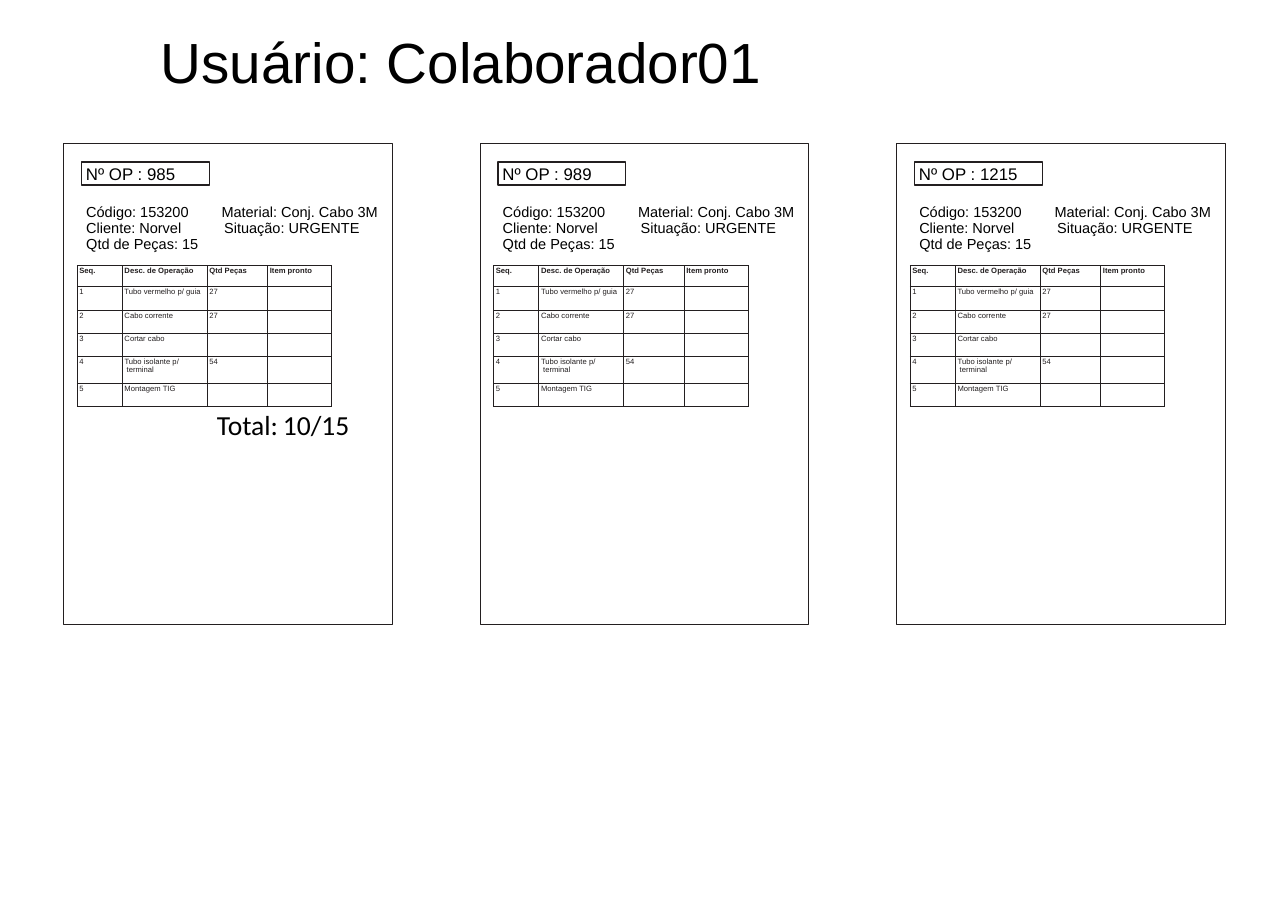
import pptx
import pptx.dml.color
import pptx.enum.shapes
import pptx.enum.text
import pptx.oxml.ns
import pptx.util
from lxml import etree

Pt = pptx.util.Pt
INK, BLACK = "231F20", "000000"
CARD_LEFT, CARD_PITCH = 4.96, 32.34
ORDERS = ["985", "989", "1215"]
COLUMNS = [3.51, 6.59, 4.7, 4.96]
ROWS = [2.36, 2.54, 2.54, 2.54, 2.95, 2.54]
OPERATIONS = [
    ["Seq.", "Desc. de Operação", "Qtd Peças", "Item pronto"],
    ["1", "Tubo vermelho p/ guia", "27", ""],
    ["2", "Cabo corrente", "27", ""],
    ["3", "Cortar cabo", "", ""],
    ["4", "Tubo isolante p/\nterminal", "54", ""],
    ["5", "Montagem TIG", "", ""],
]


def rgb(color):
    return pptx.dml.color.RGBColor.from_string(color)


class Board:
    """Draws on one slide; positions and sizes are percent of the slide."""

    def __init__(self, prs):
        self.prs = prs
        self.slide = prs.slides.add_slide(prs.slide_layouts[5])

    def x(self, share):
        return round(self.prs.slide_width * share / 100)

    def y(self, share):
        return round(self.prs.slide_height * share / 100)

    def box(self, left, top, width, height):
        return self.x(left), self.y(top), self.x(width), self.y(height)

    def paragraph(self, p, text, size, font="Arial", color=BLACK, bold=False,
                  before=0, leading=None, indent=(0, 0)):
        """Fill a paragraph; indent is left margin and first line, in points."""
        p.text = text
        p.alignment = pptx.enum.text.PP_ALIGN.LEFT
        p.font.name, p.font.size, p.font.bold = font, Pt(size), bold
        p.font.color.rgb = rgb(color)
        p.space_before = Pt(before)
        if leading:
            p.line_spacing = Pt(leading)
        pPr = p._p.get_or_add_pPr()
        pPr.set("marL", str(Pt(indent[0])))
        pPr.set("indent", str(Pt(indent[1])))

    def fit(self, tf, inset_top):
        """Top-anchored, wrapped text with no inset but the top one."""
        tf.word_wrap = True
        tf.auto_size = pptx.enum.text.MSO_AUTO_SIZE.SHAPE_TO_FIT_TEXT
        tf.vertical_anchor = pptx.enum.text.MSO_ANCHOR.TOP
        tf.margin_left = tf.margin_right = tf.margin_bottom = 0
        tf.margin_top = Pt(inset_top)

    def title(self, text, at):
        sp = self.slide.shapes.title
        sp.left, sp.top, sp.width, sp.height = self.box(*at)
        self.fit(sp.text_frame, 0.7)
        self.paragraph(sp.text_frame.paragraphs[0], text, 37, before=1,
                       indent=(0.7, 0))

    def frame(self, at, weight):
        sp = self.slide.shapes.add_shape(
            pptx.enum.shapes.MSO_SHAPE.RECTANGLE, *self.box(*at))
        sp.shadow.inherit = False
        sp.fill.background()
        sp.line.color.rgb = rgb(INK)
        sp.line.width = Pt(weight)
        return sp

    def label(self, text, at):
        tf = self.frame(at, 0.77).text_frame
        self.fit(tf, 1.4)
        self.paragraph(tf.paragraphs[0], text, 11, before=1.2, indent=(2.9, 0))

    def details(self, text, at, indent):
        tf = self.slide.shapes.add_textbox(*self.box(*at)).text_frame
        self.fit(tf, 2.2)
        self.paragraph(tf.paragraphs[0], text, 9.5, before=2, leading=10.7,
                       indent=indent)

    def text_group(self, items, top, width, height):
        group = self.slide.shapes.add_group_shape()
        for left, text in items:
            sp = group.shapes.add_textbox(*self.box(left, top, width, height))
            sp.text_frame.word_wrap = True
            self.paragraph(sp.text_frame.paragraphs[0], text, 18, "Calibri")

    def borders(self, cell, weights):
        """Draw the left, right, top and bottom borders of a cell."""
        tcPr = cell._tc.get_or_add_tcPr()
        for i, (side, weight) in enumerate(zip("LRTB", weights)):
            ln = etree.Element(pptx.oxml.ns.qn("a:ln" + side), w=str(Pt(weight)))
            fill = etree.SubElement(ln, pptx.oxml.ns.qn("a:solidFill"))
            etree.SubElement(fill, pptx.oxml.ns.qn("a:srgbClr"), val=INK)
            tcPr.insert(i, ln)

    def table(self, left, top, columns, rows, data):
        at = self.box(left, top, sum(columns), sum(rows))
        tbl = self.slide.shapes.add_table(len(rows), len(columns), *at).table
        tbl.first_row = tbl.horz_banding = False
        for column, width in zip(tbl.columns, columns):
            column.width = self.x(width)
        for row, height in zip(tbl.rows, rows):
            row.height = self.y(height)
        for r, texts in enumerate(data):
            for c, text in enumerate(texts):
                outer = (c == 0, c == len(columns) - 1, r == 0, r == len(rows) - 1)
                self.cell(tbl.cell(r, c), text, r == 0,
                          [0.5 if edge else 0.75 for edge in outer])

    def cell(self, cell, text, bold, weights):
        cell.fill.background()
        cell.margin_left = cell.margin_right = cell.margin_bottom = 0
        cell.margin_top = Pt(0.7)
        p = cell.text_frame.paragraphs[0]
        two_lines = "\n" in text
        self.paragraph(p, text, 5, color=INK, bold=bold,
                       before=1.4 if two_lines else 0.9,
                       leading=5.6 if two_lines else None,
                       indent=(2.8, -1.4) if two_lines else (1.4, 0))
        if not text:
            etree.SubElement(p._p, pptx.oxml.ns.qn("a:endParaRPr"), sz="500")
        self.borders(cell, weights)

    def order_card(self, left, number):
        self.frame((left, 15.75, 25.48, 52.78), 0.57)
        self.label(f"Nº OP : {number}", (left + 1.37, 17.78, 9.92, 2.54))
        self.details("Material: Conj. Cabo 3M\nSituação: URGENTE",
                     (left + 12.06, 22.01, 12.66, 4.11), (3.2, -1.7))
        self.details("Código: 153200\nCliente: Norvel\nQtd de Peças: 15",
                     (left + 1.63, 22.01, 8.98, 5.8), (0.9, 0))
        self.table(left + 1.03, 29.14, COLUMNS, ROWS, OPERATIONS)


def main():
    prs = pptx.Presentation()
    prs.slide_width = pptx.util.Inches(11.69)
    prs.slide_height = pptx.util.Inches(8.27)
    board = Board(prs)
    board.title("Usuário: Colaborador01", (12.4, 2.78, 46.96, 7.86))
    for i, number in enumerate(ORDERS):
        board.order_card(CARD_LEFT + i * CARD_PITCH, number)
    board.text_group([(21.13, "10/15"), (16, "Total:")], 44.14, 7.78, 4.84)
    prs.save("out.pptx")


if __name__ == "__main__":
    main()
